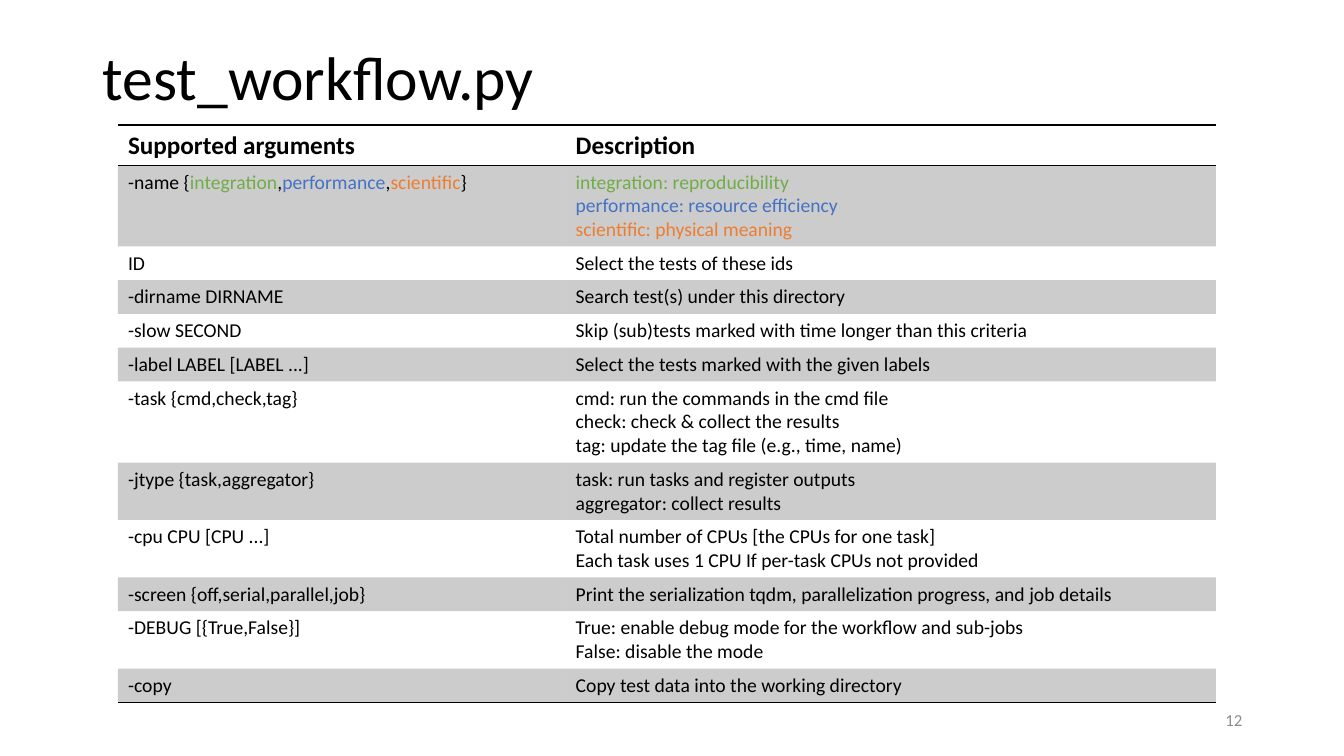
"""Build a slide that lists the arguments of test_workflow.py in a table."""
from lxml import etree
from pptx import Presentation
from pptx.dml.color import RGBColor
from pptx.enum.text import MSO_ANCHOR, PP_ALIGN
from pptx.oxml.ns import qn
from pptx.util import Inches, Pt

MIDDLE = MSO_ANCHOR.MIDDLE
LEFT, RIGHT = PP_ALIGN.LEFT, PP_ALIGN.RIGHT
BLACK = RGBColor(0x00, 0x00, 0x00)
GRAY = RGBColor(0x8C, 0x8C, 0x8C)
GREEN = RGBColor(0x70, 0xAD, 0x47)
BLUE = RGBColor(0x44, 0x72, 0xC4)
ORANGE = RGBColor(0xED, 0x7D, 0x31)
FONT = "Calibri"
PLAIN = "{2D5ABB26-0587-4C30-8999-92F81FD0307C}"
WIDE, HIGH = 13.33, 7.5
LINE, PAD = 0.235, 0.1


def write(frame, lines, size, bold=False, align=LEFT):
    for i, runs in enumerate(lines):
        para = frame.paragraphs[0] if i == 0 else frame.add_paragraph()
        para.alignment = align
        for text, color in runs:
            run = para.add_run()
            run.text = text
            run.font.name = FONT
            run.font.size = Pt(size)
            run.font.bold = bold
            run.font.color.rgb = color


def rule(cell, side):
    edge = etree.SubElement(cell._tc.get_or_add_tcPr(), qn(side), w=str(Pt(1)))
    fill = etree.SubElement(edge, qn("a:solidFill"))
    etree.SubElement(fill, qn("a:srgbClr"), val=str(BLACK))


deck = Presentation()
deck.slide_width, deck.slide_height = Inches(WIDE), Inches(HIGH)
slide = deck.slides.add_slide(deck.slide_layouts[6])

labels = [
    ("test_workflow.py", (0.92, 0.07, 7.71, 1.45), 44, BLACK, LEFT),
    ("12", (9.42, 6.95, 3, 0.4), 12, GRAY, RIGHT),
]
for text, place, size, color, align in labels:
    frame = slide.shapes.add_textbox(*map(Inches, place)).text_frame
    frame.word_wrap = True
    frame.vertical_anchor = MIDDLE
    write(frame, [[(text, color)]], size, align=align)
    frame.paragraphs[0].line_spacing = 0.9

names = [
    ("-name {", BLACK), ("integration", GREEN), (",", BLACK),
    ("performance", BLUE), (",", BLACK), ("scientific", ORANGE), ("}", BLACK),
]
kinds = [
    ("integration: reproducibility", GREEN),
    ("performance: resource efficiency", BLUE),
    ("scientific: physical meaning", ORANGE),
]
plain = [
    ("ID", "Select the tests of these ids"),
    ("-dirname DIRNAME", "Search test(s) under this directory"),
    ("-slow SECOND", "Skip (sub)tests marked with time longer than this criteria"),
    ("-label LABEL [LABEL ...]", "Select the tests marked with the given labels"),
    ("-task {cmd,check,tag}", "cmd: run the commands in the cmd file",
     "check: check & collect the results",
     "tag: update the tag file (e.g., time, name)"),
    ("-jtype {task,aggregator}", "task: run tasks and register outputs",
     "aggregator: collect results"),
    ("-cpu CPU [CPU ...]", "Total number of CPUs [the CPUs for one task]",
     "Each task uses 1 CPU If per-task CPUs not provided"),
    ("-screen {off,serial,parallel,job}",
     "Print the serialization tqdm, parallelization progress, and job details"),
    ("-DEBUG [{True,False}]",
     "True: enable debug mode for the workflow and sub-jobs",
     "False: disable the mode"),
    ("-copy", "Copy test data into the working directory"),
]
rows = [
    ([[("Supported arguments", BLACK)]], [[("Description", BLACK)]]),
    ([names], [[kind] for kind in kinds]),
]
for name, *notes in plain:
    rows.append(([[(name, BLACK)]], [[(note, BLACK)] for note in notes]))

widths = (4.44, 6.45)
highs = [0.4] + [PAD + LINE * len(notes) for name, notes in rows[1:]]
table = slide.shapes.add_table(
    len(rows), len(widths), Inches(1.17), Inches(1.24),
    Inches(sum(widths)), Inches(sum(highs))).table
table.horz_banding = False
table._tbl.tblPr.find(qn("a:tableStyleId")).text = PLAIN
for col, width in zip(table.columns, widths):
    col.width = Inches(width)

last = len(rows) - 1
for r, row in enumerate(rows):
    table.rows[r].height = Inches(highs[r])
    for c, lines in enumerate(row):
        cell = table.cell(r, c)
        write(cell.text_frame, lines, 14 if r else 18, bold=r == 0)
        if r == 0:
            rule(cell, "a:lnT")
        if r in (0, last):
            rule(cell, "a:lnB")
        if r % 2:
            cell.fill.solid()
            cell.fill.fore_color.rgb = BLACK
            tint = cell._tc.tcPr.find(qn("a:solidFill"))[0]
            etree.SubElement(tint, qn("a:alpha"), val="20000")
        else:
            cell.fill.background()

deck.save("out.pptx")
